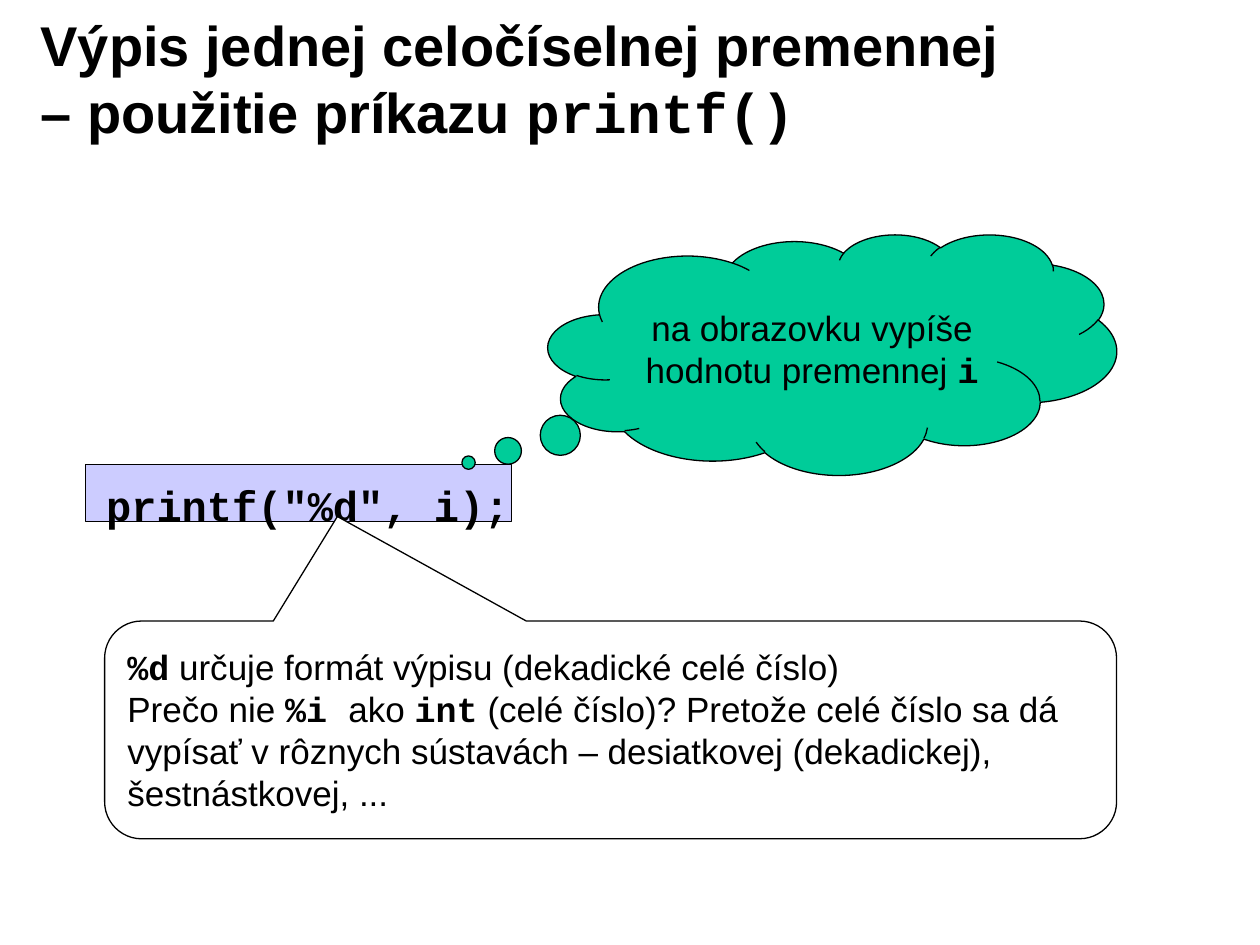
import dataclasses

import pptx
import pptx.dml.color
import pptx.enum.shapes
import pptx.enum.text
import pptx.util
from pptx.util import Cm

SHAPES = pptx.enum.shapes.MSO_SHAPE
ALIGN = pptx.enum.text.PP_ALIGN
ANCHOR = pptx.enum.text.MSO_ANCHOR


@dataclasses.dataclass(frozen=True)
class Theme:
    ink: str = "000000"
    paper: str = "FFFFFF"
    code_fill: str = "CCCCFF"
    cloud_fill: str = "00CC99"
    sans: str = "Arial"
    mono: str = "Courier New"
    title_size: int = 32
    code_size: int = 24
    body_size: int = 20
    line_width: float = 0.75


THEME = Theme()


def color(value):
    return pptx.dml.color.RGBColor.from_string(value)


def plain(text):
    return text, THEME.sans, False


def strong(text):
    return text, THEME.sans, True


def code(text):
    return text, THEME.mono, True


def write(shape, paragraphs, size, align=ALIGN.LEFT, anchor=ANCHOR.MIDDLE, top=0.13):
    frame = shape.text_frame
    frame.word_wrap = True
    frame.vertical_anchor = anchor
    frame.margin_left = frame.margin_right = Cm(0.24)
    frame.margin_top, frame.margin_bottom = Cm(top), Cm(0.13)
    for index, spans in enumerate(paragraphs):
        para = frame.add_paragraph() if index else frame.paragraphs[0]
        para.alignment = align
        for text, font, bold in spans:
            span = para.add_run()
            span.text = text
            span.font.name = font
            span.font.bold = bold
            span.font.size = pptx.util.Pt(size)
            span.font.color.rgb = color(THEME.ink)


def add_text(page, place, paragraphs, size, **layout):
    box = page.shapes.add_textbox(*map(Cm, place))
    write(box, paragraphs, size, **layout)


def add_panel(page, kind, place, fill, adjustments=()):
    panel = page.shapes.add_shape(kind, *map(Cm, place))
    panel.shadow.inherit = False
    panel.fill.solid()
    panel.fill.fore_color.rgb = color(fill)
    panel.line.color.rgb = color(THEME.ink)
    panel.line.width = pptx.util.Pt(THEME.line_width)
    for index, value in enumerate(adjustments):
        panel.adjustments[index] = value
    return panel


def main():
    deck = pptx.Presentation()
    deck.slide_width, deck.slide_height = Cm(25.4), Cm(19.05)
    page = deck.slides.add_slide(deck.slide_layouts[6])

    title = [[strong("Výpis jednej celočíselnej premennej – použitie príkazu "),
              code("printf()")]]
    add_text(page, (0.58, 0.38, 20.4, 2.36), title, THEME.title_size)

    add_panel(page, SHAPES.RECTANGLE, (1.73, 9.37, 8.58, 1.14), THEME.code_fill)
    add_text(page, (1.9, 9.37, 9.02, 1.24), [[code('printf("%d", i);')]],
             THEME.code_size, anchor=ANCHOR.TOP, top=0.3)

    cloud = add_panel(page, SHAPES.CLOUD_CALLOUT, (11.05, 4.72, 11.46, 4.85),
                      THEME.cloud_fill, (-0.64, 0.45))
    write(cloud, [[plain("na obrazovku vypíše hodnotu premennej "), code("i")]],
          THEME.body_size, align=ALIGN.CENTER)

    note = add_panel(page, SHAPES.ROUNDED_RECTANGULAR_CALLOUT, (2.11, 12.52, 20.4, 4.39),
                     THEME.paper, (-0.27, -0.98, 0.17))
    write(note, [
        [code("%d"), plain(" určuje formát výpisu (dekadické celé číslo)")],
        [plain("Prečo nie "), code("%i "), plain("ako "), code("int"),
         plain(" (celé číslo)? Pretože celé číslo sa dá vypísať v rôznych sústavách"
               " – desiatkovej (dekadickej), šestnástkovej, ...")],
    ], THEME.body_size)

    deck.save("out.pptx")


if __name__ == "__main__":
    main()
